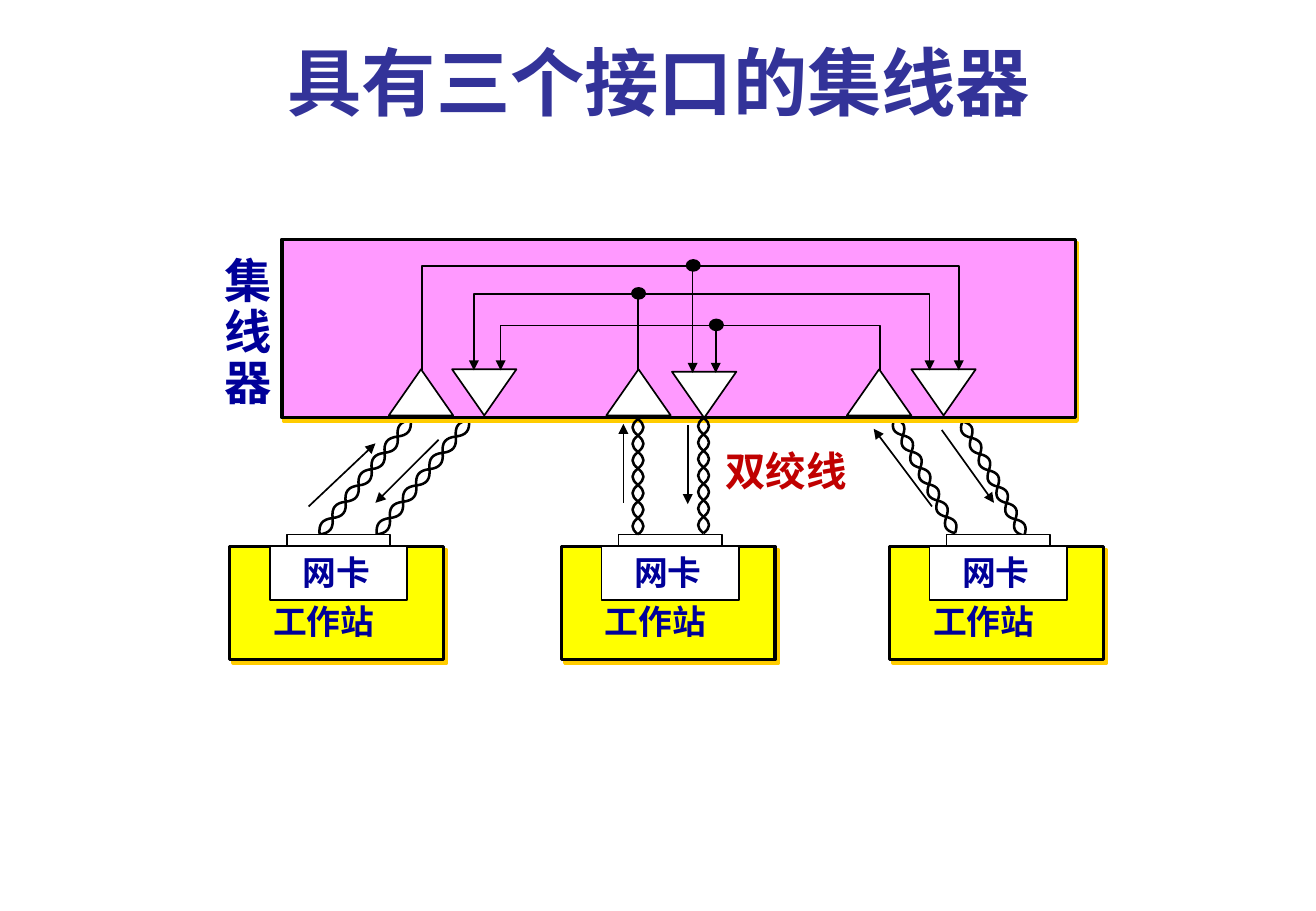
from math import hypot

from lxml import etree
from pptx import Presentation
from pptx.dml.color import RGBColor
from pptx.enum.shapes import MSO_CONNECTOR, MSO_SHAPE
from pptx.enum.text import MSO_ANCHOR, MSO_AUTO_SIZE, PP_ALIGN
from pptx.oxml.ns import qn
from pptx.util import Inches, Pt

RECT, TRIANGLE, OVAL = MSO_SHAPE.RECTANGLE, MSO_SHAPE.ISOSCELES_TRIANGLE, MSO_SHAPE.OVAL
STRAIGHT = MSO_CONNECTOR.STRAIGHT
COLORS = {"title": "333399", "label": "000099", "cable": "C00000", "line": "000000",
          "hub": "FF99FF", "station": "FFFF00", "card": "FFFFFF", "shadow": "FFCC00"}

LOBES, SWING = 7, 0.06  # half twists of a pair and reach of its curve handles
SLANTED = [((2.63, 4.4), (3.38, 3.46)), ((3.1, 4.4), (3.86, 3.46)),
           ((7.86, 4.39), (7.36, 3.45)), ((8.43, 4.41), (7.92, 3.47))]
UPRIGHT = [((5.25, 4.4), (5.25, 3.45)), ((5.79, 4.39), (5.79, 3.44))]
FLOWS = [((5.13, 4.14), (5.13, 3.49)), ((5.66, 3.5), (5.66, 4.15)),
         ((2.54, 4.17), (3.09, 3.65)), ((3.61, 3.62), (3.09, 4.14)),
         ((7.67, 4.17), (7.19, 3.53)), ((7.75, 3.54), (8.18, 4.14))]


def color(name):
    return RGBColor.from_string(COLORS[name])


def inches(*values):
    return [Inches(value) for value in values]


def style(para, size, tint):
    form = {"name": "Arial", "size": Pt(size), "bold": True}
    for run in para.runs:
        for key, value in form.items():
            setattr(run.font, key, value)
        run.font.color.rgb = color(tint)


def stroke(item, width, arrow=False):
    item.line.color.rgb = color("line")
    item.line.width = Pt(width)
    if arrow:
        line = item._element.spPr.find(qn("a:ln"))
        etree.SubElement(line, qn("a:tailEnd"), type="triangle")


def block(slide, kind, box, fill, width=1, shade=None):
    """Add a filled shape; shade is the distance and angle of a hard shadow."""
    item = slide.shapes.add_shape(kind, *inches(*box))
    item.fill.solid()
    item.fill.fore_color.rgb = color(fill)
    stroke(item, width)
    item.shadow.inherit = False
    if shade:
        dist, angle = shade
        effects = item._element.spPr.find(qn("a:effectLst"))
        cast = etree.SubElement(effects, qn("a:outerShdw"), blurRad="0", dist=str(Pt(dist)),
                                dir=str(angle * 60000), algn="ctr", rotWithShape="0")
        etree.SubElement(cast, qn("a:srgbClr"), val=COLORS["shadow"])
    return item


def label(slide, box, text, size, tint="label", spacing=None):
    frame = slide.shapes.add_textbox(*inches(*box)).text_frame
    frame.word_wrap = False
    frame.text = text
    for para in frame.paragraphs:
        style(para, size, tint)
        if spacing:
            para.line_spacing = spacing


def wire(slide, *tracks, width=1, arrow=False):
    """Draw one open outline made of lists of points."""
    maker = slide.shapes.build_freeform(*inches(*tracks[0][0]))
    for index, (start, *rest) in enumerate(tracks):
        if index:
            maker.move_to(*inches(*start))
        maker.add_line_segments([inches(*point) for point in rest], close=False)
    item = maker.convert_to_shape()
    item.fill.background()
    stroke(item, width, arrow)
    item.shadow.inherit = False
    return item


def bend(item):
    """Turn each three line segments into one curve."""
    parts = list(item._element.iter(qn("a:lnTo")))
    for first in range(0, len(parts), 3):
        curve = etree.Element(qn("a:cubicBezTo"))
        parts[first].addprevious(curve)
        for part in parts[first:first + 3]:
            curve.append(part[0])
            part.getparent().remove(part)


def arrow(slide, start, end):
    item = slide.shapes.add_connector(STRAIGHT, *inches(*start, *end))
    stroke(item, 1, True)
    etree.SubElement(item._element.spPr, qn("a:effectLst"))


def twist(slide, start, end):
    """Draw two mirrored wavy strands between two points."""
    (x, y), (dx, dy) = start, (end[0] - start[0], end[1] - start[1])
    size = hypot(dx, dy)
    tracks = []
    for side in (SWING, -SWING):
        track = [start]
        for lobe in range(LOBES):
            reach = side * (-1) ** lobe / size
            for step, off in ((0.36, reach), (0.64, reach), (1, 0)):
                part = (lobe + step) / LOBES
                track.append((x + dx * part - dy * off, y + dy * part + dx * off))
        tracks.append(track)
    bend(wire(slide, *tracks, width=1.5))


def heading(slide, box):
    title = slide.shapes.title
    title.left, title.top, title.width, title.height = inches(*box)
    frame = title.text_frame
    frame.text = "具有三个接口的集线器 "
    form = {"vertical_anchor": MSO_ANCHOR.BOTTOM, "auto_size": MSO_AUTO_SIZE.NONE,
            "word_wrap": True}
    for key, value in form.items():
        setattr(frame, key, value)
    frame.paragraphs[0].alignment = PP_ALIGN.CENTER
    style(frame.paragraphs[0], 44, "title")


def hub(slide, box):
    x, y = box[:2]
    block(slide, RECT, box, "hub", 2, (2.2, 63))
    for left in (0.88, 2.67, 4.65):
        block(slide, TRIANGLE, (x + left, y + 1.07, 0.53, 0.38), "card")
    for left, top in ((1.4, 1.07), (3.21, 1.09), (5.18, 1.07)):
        block(slide, TRIANGLE, (x + left, y + top, 0.53, 0.38), "card").rotation = 180

    tip = y + 1.08
    # Each bus: height, source, and the receivers at its ends
    for top, source, ends in ((0.71, 4.92, (1.8,)), (0.45, 2.93, (1.58, 5.33)),
                              (0.22, 1.15, (5.57,))):
        for end in ends:
            wire(slide, [(x + source, tip), (x + source, y + top),
                         (x + end, y + top), (x + end, tip)], arrow=True)
    taps = ((3.57, 0.71), (3.38, 0.22))
    for left, top in taps:
        arrow(slide, (x + left, y + top), (x + left, y + 1.1))
    for left, top in (*taps, (2.93, 0.45)):
        block(slide, OVAL, (x + left - 0.05, y + top - 0.05, 0.11, 0.09), "line")
    label(slide, (x - 0.57, y + 0.1, 0.59, 1.37), "集\n线\n器", 28, spacing=0.9)


def station(slide, box):
    x, y = box[:2]
    block(slide, RECT, box, "station", 2, (2.8, 45))
    block(slide, RECT, (x + 0.33, y, 1.13, 0.44), "card")
    label(slide, (x + 0.5, y - 0.01, 0.76, 0.43), "网卡", 20)
    label(slide, (x + 0.26, y + 0.4, 1.05, 0.43), "工作站", 20)
    block(slide, RECT, (x + 0.47, y - 0.1, 0.85, 0.09), "card")


def main():
    deck = Presentation()
    deck.slide_width, deck.slide_height = inches(10.83, 7.5)
    slide = deck.slides.add_slide(deck.slide_layouts[5])
    heading(slide, (0.54, 0.21, 9.91, 0.87))
    for ends in SLANTED:
        twist(slide, *ends)
    hub(slide, (2.32, 1.97, 6.53, 1.47))
    for left in (1.89, 4.62, 7.32):
        station(slide, (left, 4.5, 1.76, 0.93))
    for ends in FLOWS:
        arrow(slide, *ends)
    label(slide, (5.87, 3.62, 1.21, 0.5), "双绞线", 24, "cable")
    for ends in UPRIGHT:
        twist(slide, *ends)
    deck.save("out.pptx")


if __name__ == "__main__":
    main()
